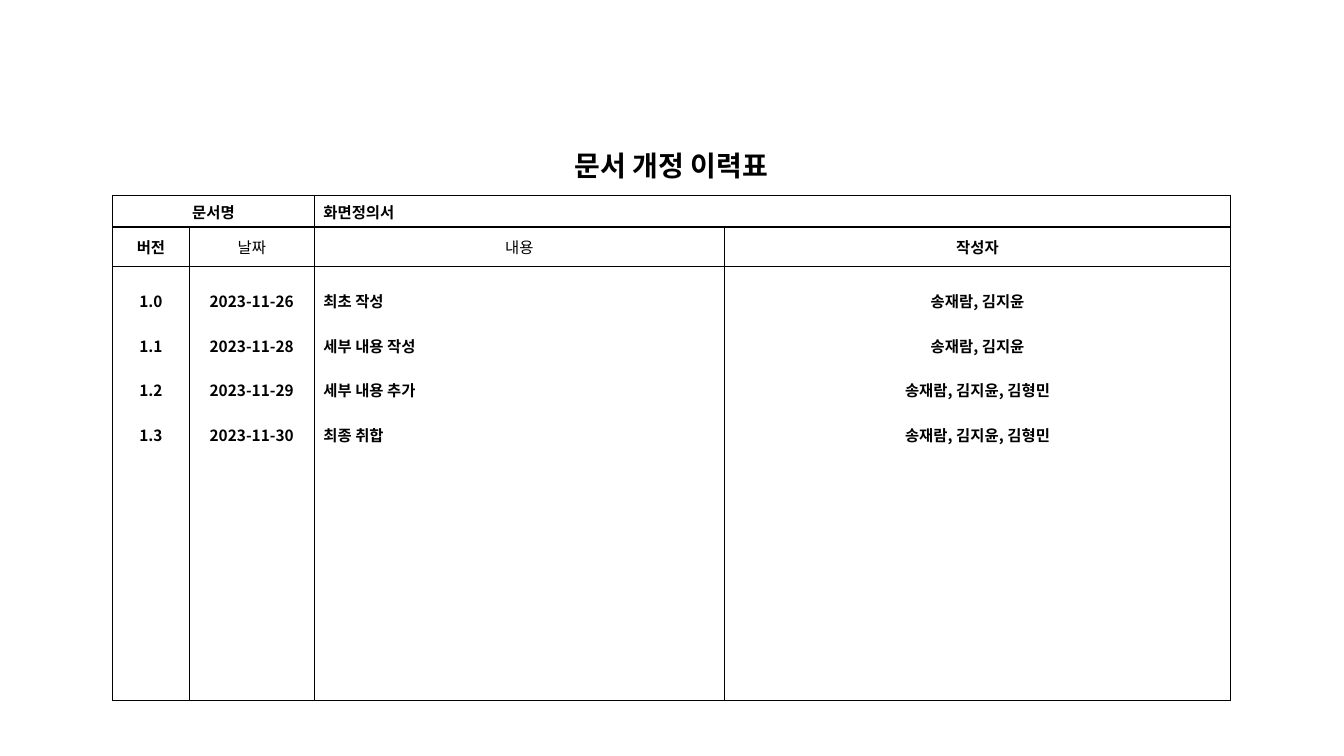
import dataclasses

import lxml.etree
import pptx
import pptx.dml.color
import pptx.enum.text
import pptx.oxml.ns
import pptx.util

Cm = pptx.util.Cm
Pt = pptx.util.Pt
Align = pptx.enum.text.PP_ALIGN
Anchor = pptx.enum.text.MSO_ANCHOR
qn = pptx.oxml.ns.qn


@dataclasses.dataclass(frozen=True)
class Theme:
    font: str = "Noto Sans CJK KR"
    ink: str = "000000"
    paper: str = "FFFFFF"
    head: int = 20
    text: int = 11
    gap: int = 16
    rule: int = 1


COLS = (1.93, 3.15, 10.34, 12.75)
ROWS = (2.59, 0.79, 0.99, 10.95)
LOG = (
    ("1.0", "2023-11-26", "최초 작성", "송재람, 김지윤"),
    ("1.1", "2023-11-28", "세부 내용 작성", "송재람, 김지윤"),
    ("1.2", "2023-11-29", "세부 내용 추가", "송재람, 김지윤, 김형민"),
    ("1.3", "2023-11-30", "최종 취합", "송재람, 김지윤, 김형민"),
)


def write(frame, lines, *, theme, size, bold=True, align=Align.CENTER, gap=0):
    """Fill a text frame with one paragraph per line, gap points apart."""
    for i, line in enumerate(lines):
        para = frame.paragraphs[0] if i == 0 else frame.add_paragraph()
        para.alignment = align
        para.space_before = Pt(gap if i else 0)
        run = para.add_run()
        run.text = line
        run.font.name = theme.font
        run.font.size = Pt(size)
        run.font.bold = bold
        run.font.color.rgb = pptx.dml.color.RGBColor.from_string(theme.ink)
        face = lxml.etree.SubElement(run.font._element, qn("a:ea"))
        face.set("typeface", theme.font)


class Page:
    def __init__(self, deck, theme):
        self.theme = theme
        self.slide = deck.slides.add_slide(deck.slide_layouts[6])

    def table(self, left, top, cols, rows):
        grid = self.slide.shapes.add_table(
            len(rows), len(cols), Cm(left), Cm(top), Cm(sum(cols)), Cm(sum(rows))
        ).table
        grid.first_row = grid.horz_banding = False
        for col, width in zip(grid.columns, cols):
            col.width = Cm(width)
        for row, height in zip(grid.rows, rows):
            row.height = Cm(height)
        for r in range(len(rows)):
            for c in range(len(cols)):
                self.frame(grid.cell(r, c), self.theme.paper if r == 0 else self.theme.ink)
        return grid

    def frame(self, cell, tint):
        """Rule all four sides of a cell, the bottom one always in ink."""
        props = cell._tc.get_or_add_tcPr()
        for side in "LRTB":
            line = lxml.etree.SubElement(props, qn(f"a:ln{side}"), w=str(Pt(self.theme.rule)))
            fill = lxml.etree.SubElement(line, qn("a:solidFill"))
            shade = self.theme.ink if side == "B" else tint
            lxml.etree.SubElement(fill, qn("a:srgbClr"), val=shade)
        cell.fill.background()
        cell.margin_left = cell.margin_right = Cm(0.23)
        cell.margin_top = cell.margin_bottom = 0

    def cell(self, cell, lines, *, anchor=Anchor.MIDDLE, top=0, base=0, size=None, **form):
        cell.vertical_anchor = anchor
        cell.margin_top, cell.margin_bottom = Cm(top), Cm(base)
        write(cell.text_frame, lines, theme=self.theme, size=size or self.theme.text, **form)


def main():
    deck = pptx.Presentation()
    deck.slide_width, deck.slide_height = Cm(33.87), Cm(19.05)
    theme = Theme()
    page = Page(deck, theme)

    grid = page.table(2.84, 2.34, COLS, ROWS)
    for row, first, last in ((0, 0, 3), (1, 0, 1), (1, 2, 3)):
        grid.cell(row, first).merge(grid.cell(row, last))

    page.cell(grid.cell(0, 0), ["문서 개정 이력표"], size=theme.head, anchor=Anchor.BOTTOM, base=0.28)
    page.cell(grid.cell(1, 0), ["문서명"])
    page.cell(grid.cell(1, 2), ["화면정의서"], align=Align.JUSTIFY)

    heads = (("버전", True), ("날짜", False), ("내용", False), ("작성자", True))
    for c, ((head, bold), lines) in enumerate(zip(heads, zip(*LOG))):
        page.cell(grid.cell(2, c), [head], bold=bold)
        align = Align.JUSTIFY if head == "내용" else Align.CENTER
        page.cell(grid.cell(3, c), lines, anchor=Anchor.TOP, top=0.58, align=align, gap=theme.gap)

    deck.save("out.pptx")


if __name__ == "__main__":
    main()
